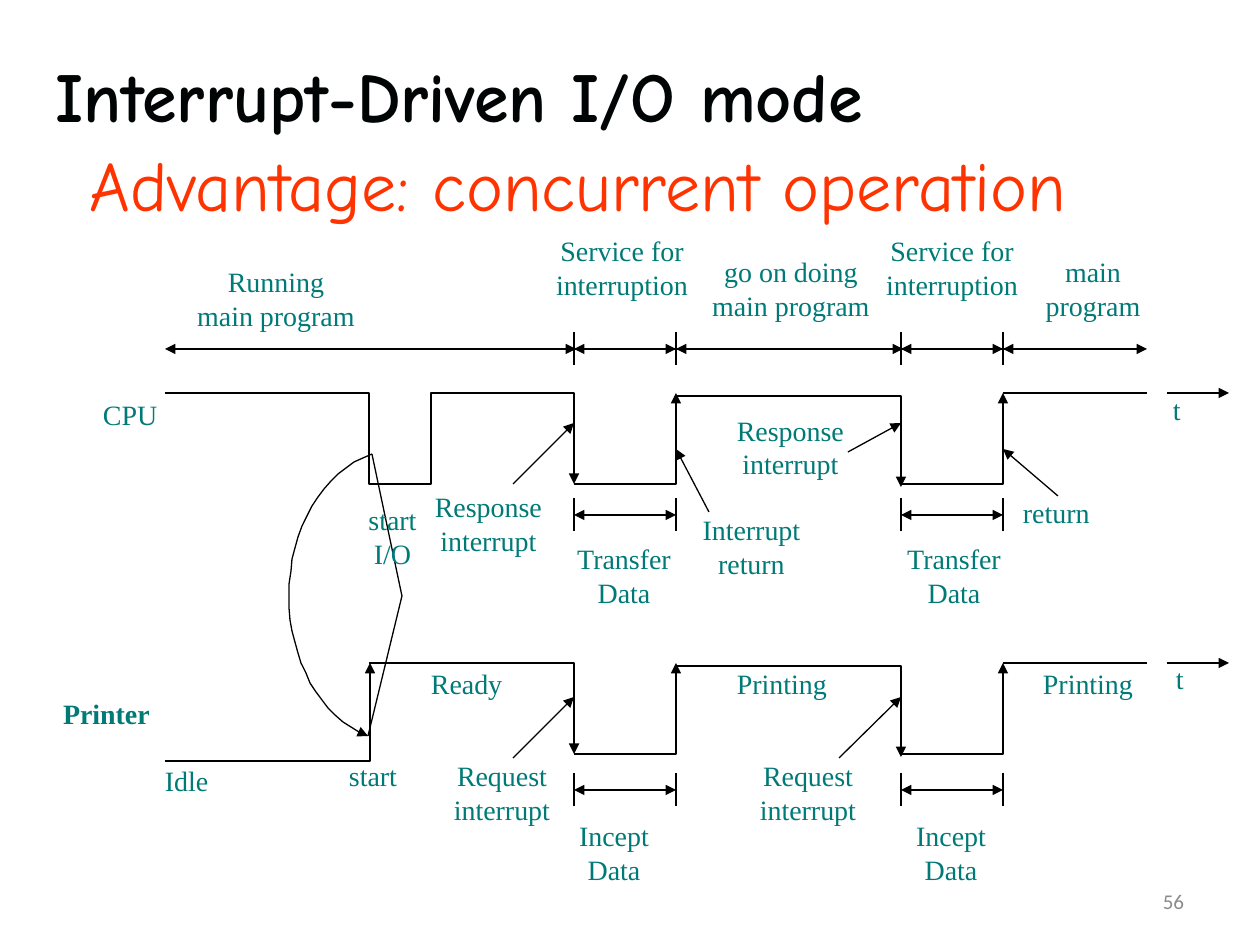
from lxml.etree import SubElement
from pptx import Presentation
from pptx.dml.color import RGBColor
from pptx.enum.shapes import MSO_CONNECTOR
from pptx.enum.text import MSO_ANCHOR, PP_ALIGN
from pptx.oxml.ns import qn
from pptx.util import Pt

PX = 914400 / 126
BLACK = RGBColor(0x00, 0x00, 0x00)
TITLE = RGBColor(0x00, 0x04, 0x04)
ORANGE = RGBColor(0xFF, 0x33, 0x00)
TEAL = RGBColor(0x00, 0x7A, 0x77)
GREY = RGBColor(0x8B, 0x8B, 0x8B)
LEFT, CENTER, RIGHT = PP_ALIGN.LEFT, PP_ALIGN.CENTER, PP_ALIGN.RIGHT

START, IO_START, IO_END, END = 165, 369, 431, 1147
SERVICES = ((574, 676), (901, 1003))  # both interrupt services, in time
CPU_TOP, PRINTER_TOP, DEPTH = 393, 663, 91
IDLE_Y, SPAN_Y = 761, 349


def emu(*lengths):
    return [round(length * PX) for length in lengths]


def add_text(slide, text, box, size=16, font="Times New Roman", color=TEAL,
             bold=False, align=LEFT, anchor=MSO_ANCHOR.TOP, inset=0, wrap=True):
    frame = slide.shapes.add_textbox(*emu(*box)).text_frame
    frame.word_wrap = wrap
    frame.vertical_anchor = anchor
    frame.margin_left = frame.margin_right = emu(inset)[0]
    frame.margin_top = frame.margin_bottom = emu(inset / 2)[0]
    frame.text = text
    for paragraph in frame.paragraphs:
        paragraph.alignment = align
        paragraph.font.size = Pt(size)
        paragraph.font.name = font
        paragraph.font.bold = bold
        paragraph.font.color.rgb = color


def style_line(shape, head, tail):
    shape.line.color.rgb = BLACK
    shape.line.width = Pt(0.75)
    ends = shape.line._get_or_add_ln()
    for tag, wanted in (("a:headEnd", head), ("a:tailEnd", tail)):
        if wanted:
            SubElement(ends, qn(tag)).set("type", "triangle")


def add_line(slide, start, end, head=False, tail=False):
    line = slide.shapes.add_connector(
        MSO_CONNECTOR.STRAIGHT, *emu(*start, *end))
    style_line(line, head, tail)
    SubElement(line._element.spPr, qn("a:effectLst"))


def add_path(slide, points, tail=True):
    """Draw an open, unfilled outline through the points."""
    builder = slide.shapes.build_freeform(*points[0], scale=PX)
    builder.add_line_segments(points[1:], close=False)
    outline = builder.convert_to_shape()
    outline.fill.background()
    outline.shadow.inherit = False
    style_line(outline, False, tail)


def bezier(p0, p1, p2, p3, steps=16):
    points = []
    for step in range(steps + 1):
        t = step / steps
        u = 1 - t
        points.append(tuple(
            u**3 * a + 3 * u * u * t * b + 3 * u * t * t * c + t**3 * d
            for a, b, c, d in zip(p0, p1, p2, p3)))
    return points


def add_signal(slide, top):
    """Draw the part of a timing signal that CPU and printer share."""
    low = top + DEPTH
    (first, first_end), (second, second_end) = SERVICES
    for left, right in SERVICES:
        add_path(slide, [(left, low), (right, low), (right, top)])
    add_path(slide, [(first_end, top + 3), (second, top + 3),
                     (second, low + 3)])
    add_line(slide, (second_end, top), (END, top))
    add_line(slide, (1167, top), (1229, top), tail=True)


def add_interval(slide, left, right, y):
    """Draw a double arrow between two tick marks."""
    add_line(slide, (left, y), (right, y), head=True, tail=True)
    for x in (left, right):
        add_line(slide, (x, y - 17), (x, y + 16))


def add_signals(slide):
    first = SERVICES[0][0]
    cpu_low = CPU_TOP + DEPTH
    add_path(slide, [(START, CPU_TOP), (IO_START, CPU_TOP),
                     (IO_START, cpu_low), (IO_END, cpu_low),
                     (IO_END, CPU_TOP), (first, CPU_TOP), (first, cpu_low)])
    add_path(slide, [(START, IDLE_Y), (IO_START + 1, IDLE_Y),
                     (IO_START + 1, PRINTER_TOP)])
    add_path(slide, [(IO_START, PRINTER_TOP), (first, PRINTER_TOP),
                     (first, PRINTER_TOP + DEPTH)])
    for top in (CPU_TOP, PRINTER_TOP):
        add_signal(slide, top)


def add_intervals(slide):
    add_line(slide, (START, SPAN_Y), (END, SPAN_Y), head=True, tail=True)
    for left, right in SERVICES:
        for y in (SPAN_Y, 515, 790):
            add_interval(slide, left, right, y)
        add_line(slide, (left - 17, SPAN_Y), (left + 2, SPAN_Y), tail=True)
        add_line(slide, (right + 40, SPAN_Y), (right, SPAN_Y), tail=True)


def add_start_loop(slide):
    cpu_end, middle, printer_end = (372, 454), (289, 596), (368, 736)
    arc = bezier(cpu_end, (323, 471), (289, 529), middle)
    arc += bezier(middle, (289, 660), (320, 717), printer_end)[1:]
    add_path(slide, arc)
    add_path(slide, [cpu_end, (402, 596), printer_end], tail=False)


def add_pointers(slide):
    for start, target in (
            ((848, 452), (901, 423)), ((839, 758), (901, 697)),
            ((513, 758), (574, 697)), ((513, 484), (574, 423)),
            ((709, 512), (676, 449)), ((1058, 496), (1003, 449))):
        add_line(slide, start, target, tail=True)


def add_labels(slide):
    for text, box in (
            ("t", (1173, 393, 40, 60)), ("t", (1176, 662, 40, 60)),
            ("CPU", (103, 398, 102, 67)), ("Idle", (165, 764, 102, 67)),
            ("Ready", (431, 667, 102, 67)), ("start", (349, 759, 102, 67)),
            ("Printing", (737, 667, 102, 67)),
            ("Printing", (1043, 667, 102, 67)),
            ("return", (1023, 496, 93, 58))):
        add_text(slide, text, box)
    add_text(slide, "Printer", (63, 697, 142, 67), bold=True)

    for text, box in (
            ("Request\ninterrupt", (431, 759, 142, 97)),
            ("Request\ninterrupt", (737, 759, 142, 97)),
            ("Incept Data", (559, 819, 110, 97)),
            ("Incept Data", (898, 819, 106, 97)),
            ("start\nI/O", (331, 503, 123, 103)),
            ("Response\ninterrupt", (431, 490, 115, 97)),
            ("Response\ninterrupt", (733, 413, 115, 97)),
            ("Transfer\nData", (553, 542, 142, 97)),
            ("Transfer\nData", (883, 542, 142, 97)),
            ("Interrupt return", (694, 513, 115, 58)),
            ("Service for interruption", (551, 234, 142, 97)),
            ("Service for interruption", (881, 234, 142, 97)),
            ("Running\nmain program", (174, 265, 204, 67)),
            ("go on doing\nmain program", (689, 255, 204, 91)),
            ("main program", (1032, 255, 122, 67))):
        add_text(slide, text, box, align=CENTER)


def main():
    deck = Presentation()
    deck.slide_width, deck.slide_height = emu(1260, 945)
    slide = deck.slides.add_slide(deck.slide_layouts[6])
    add_text(slide, "56", (903, 876, 294, 50), size=12, font="Calibri",
             color=GREY, align=RIGHT, anchor=MSO_ANCHOR.MIDDLE, inset=13)
    add_text(slide, "Interrupt-Driven I/O mode", (42, 35, 1177, 118), size=40,
             font="Comic Neue", color=TITLE, bold=True,
             anchor=MSO_ANCHOR.MIDDLE, inset=13)
    add_signals(slide)
    add_intervals(slide)
    add_start_loop(slide)
    add_pointers(slide)
    add_labels(slide)
    add_text(slide, "Advantage: concurrent operation", (77, 135, 1094, 96),
             size=40, font="Comic Neue", color=ORANGE, inset=13, wrap=False)
    deck.save("out.pptx")


if __name__ == "__main__":
    main()
